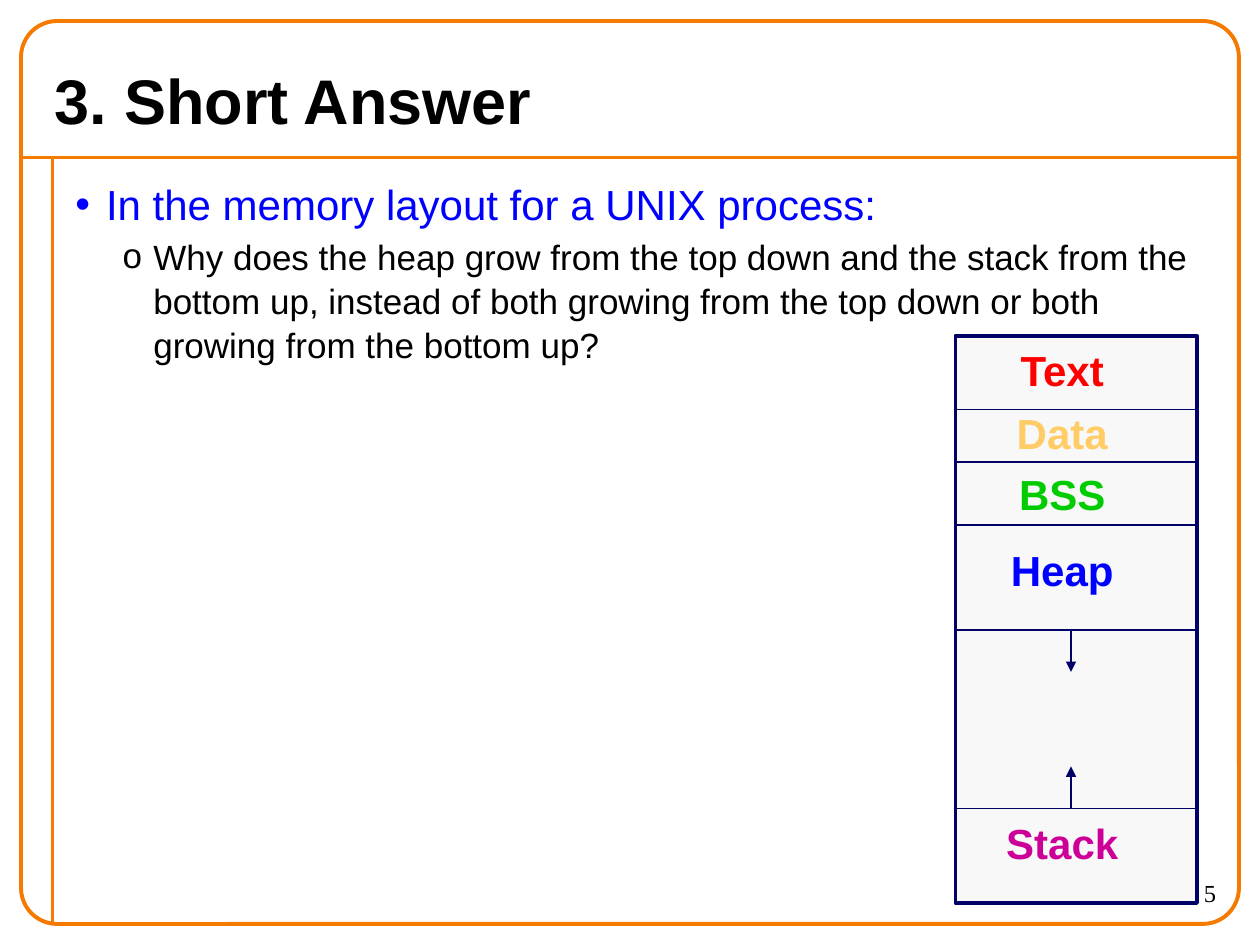
"""Builds a quiz slide on the memory layout of a UNIX process."""
from dataclasses import dataclass

from lxml.etree import SubElement
from pptx import Presentation
from pptx.dml.color import RGBColor
from pptx.enum.shapes import MSO_CONNECTOR as Connector, MSO_SHAPE as Shape
from pptx.enum.text import MSO_ANCHOR as Anchor, PP_ALIGN as Align
from pptx.oxml.ns import qn
from pptx.util import Pt


@dataclass(frozen=True)
class Theme:
    orange: str = "F47A00"
    navy: str = "000066"
    panel: str = "F8F8F8"
    black: str = "000000"
    blue: str = "0000FF"
    red: str = "FF0000"
    sand: str = "FFCC66"
    green: str = "00CC00"
    magenta: str = "CC0099"
    font: str = "Arial"
    number_font: str = "Times New Roman"
    title: int = 36
    heading: int = 24
    detail: int = 20
    number: int = 14
    thick: float = 2.25
    thin: float = 0.75


theme = Theme()
deck = Presentation()
deck.slide_width, deck.slide_height = Pt(720), Pt(540)
slide = deck.slides.add_slide(deck.slide_layouts[6])


def add_line(x1, y1, x2, y2, color, width, arrow=False):
    line = slide.shapes.add_connector(Connector.STRAIGHT, Pt(x1), Pt(y1), Pt(x2), Pt(y2))
    line.line.color.rgb = RGBColor.from_string(color)
    line.line.width = Pt(width)
    if arrow:
        SubElement(line.line._get_or_add_ln(), qn("a:tailEnd"), type="triangle")
    SubElement(line._element.spPr, qn("a:effectLst"))


def add_text(box, text, size, color, bold=False, align=Align.LEFT, font=theme.font, wrap=True):
    frame = slide.shapes.add_textbox(*map(Pt, box)).text_frame
    frame.word_wrap = wrap
    paragraph = frame.paragraphs[0]
    paragraph.text = text
    paragraph.alignment = align
    paragraph.font.name, paragraph.font.size, paragraph.font.bold = font, Pt(size), bold
    paragraph.font.color.rgb = RGBColor.from_string(color)
    return frame


add_line(12, 90, 708, 90, theme.orange, theme.thick)
add_line(30, 90, 30, 528, theme.orange, theme.thick)
border = slide.shapes.add_shape(Shape.ROUNDED_RECTANGLE, Pt(12), Pt(12), Pt(696), Pt(516))
border.adjustments[0] = 0.04
border.shadow.inherit = False
border.fill.background()
border.line.color.rgb = RGBColor.from_string(theme.orange)
border.line.width = Pt(theme.thick)

add_text((630, 498, 72, 30), "5", theme.number, theme.black,
         align=Align.RIGHT, font=theme.number_font)
title = add_text((24, 30, 672, 54), "3. Short Answer", theme.title, theme.black, bold=True)
title.vertical_anchor = Anchor.MIDDLE

question = slide.shapes.add_textbox(Pt(36), Pt(97), Pt(666), Pt(431)).text_frame
question.word_wrap = True
points = [
    ("In the memory layout for a UNIX process:", "•", 17.5, 0, theme.heading, theme.blue),
    ("Why does the heap grow from the top down and the stack from the bottom up, "
     "instead of both growing from the top down or both growing from the bottom up?",
     "o", 44.5, 2.5, theme.detail, theme.black),
]
for level, (text, bullet, indent, gap, size, color) in enumerate(points):
    point = question.add_paragraph() if level else question.paragraphs[0]
    point.text = text
    point.level = level
    point.line_spacing = 1.05
    point.space_before = Pt(gap)
    properties = point._p.get_or_add_pPr()
    properties.set("marL", str(Pt(indent)))
    properties.set("indent", str(-Pt(17.5)))
    SubElement(properties, qn("a:buFont"), typeface=theme.font)
    SubElement(properties, qn("a:buChar"), char=bullet)
    point.font.name, point.font.size = theme.font, Pt(size)
    point.font.color.rgb = RGBColor.from_string(color)

memory_left, memory_right, arrow_x = 546, 684, 612
memory = slide.shapes.add_shape(Shape.RECTANGLE, Pt(memory_left), Pt(192),
                                Pt(memory_right - memory_left), Pt(324))
memory.shadow.inherit = False
memory.fill.solid()
memory.fill.fore_color.rgb = RGBColor.from_string(theme.panel)
memory.line.color.rgb = RGBColor.from_string(theme.navy)
memory.line.width = Pt(theme.thick)

heap_end, stack_start = 360, 462
for boundary in (234, 264, 300, heap_end, stack_start):
    add_line(memory_left, boundary, memory_right, boundary, theme.navy, theme.thin)

segments = [
    ("Text", 193.5, theme.red),
    ("Data", 229.5, theme.sand),
    ("BSS", 264, theme.green),
    ("Heap", 307.5, theme.blue),
    ("Stack", 463.5, theme.magenta),
]
for segment, top, color in segments:
    add_text((567, top, 80, 36), segment, theme.heading, color,
             bold=True, align=Align.CENTER, wrap=False)

for start, end in ((heap_end, heap_end + 24), (stack_start, stack_start - 24)):
    add_line(arrow_x, start, arrow_x, end, theme.navy, theme.thin, arrow=True)

deck.save("out.pptx")
